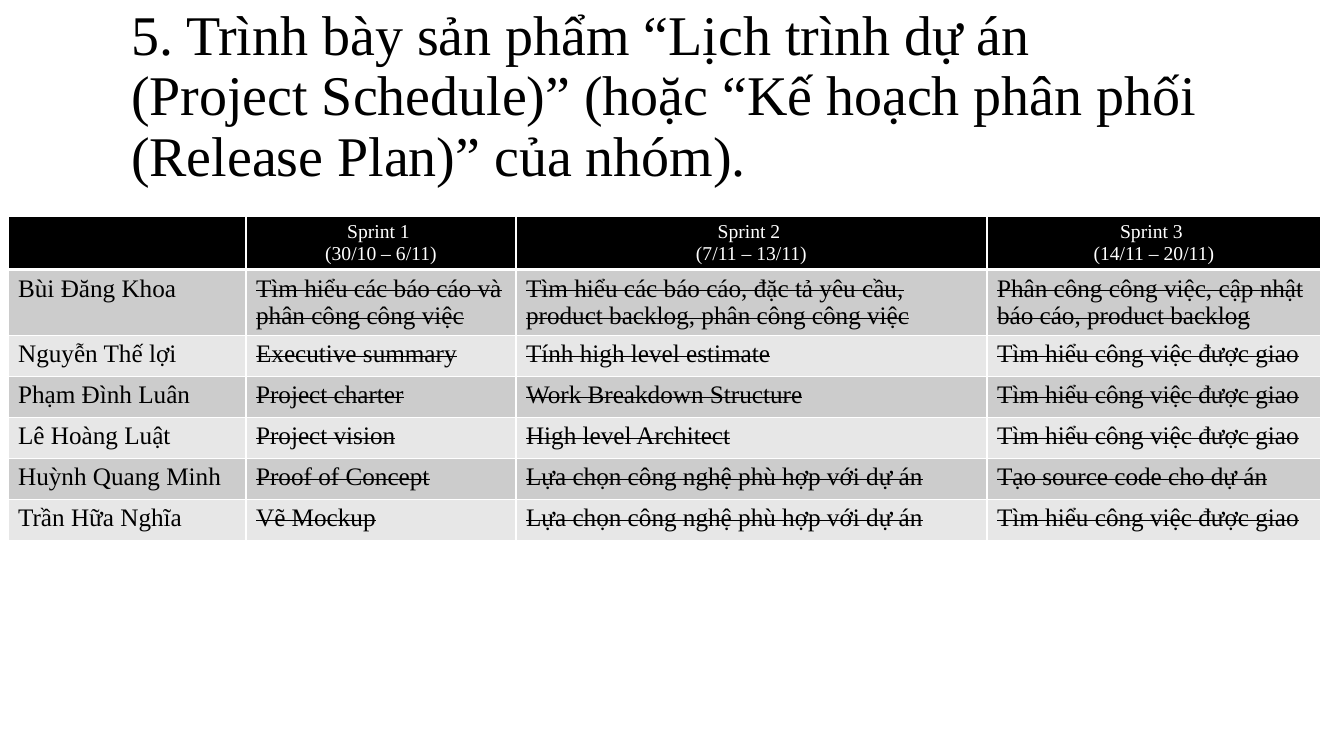
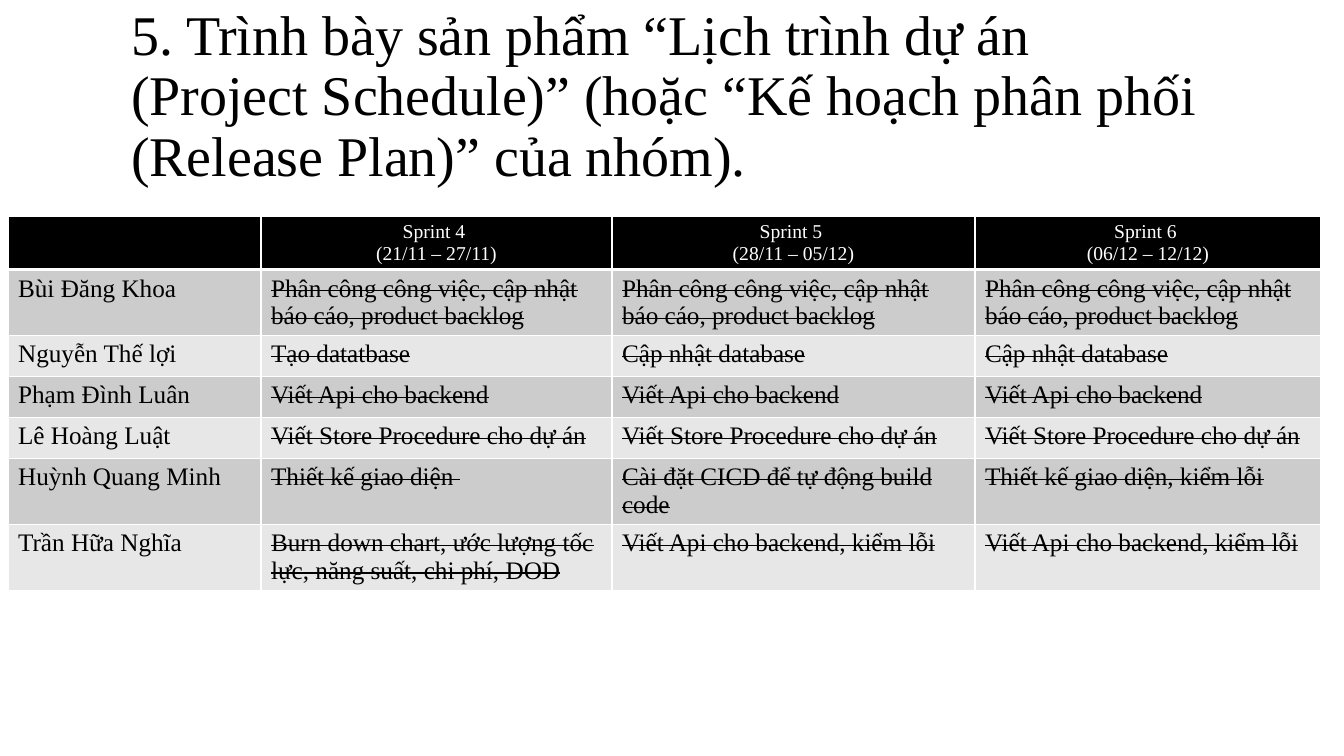
from lxml.etree import SubElement
from pptx import Presentation
from pptx.dml.color import RGBColor
from pptx.enum.text import MSO_ANCHOR, MSO_AUTO_SIZE, PP_ALIGN
from pptx.oxml.ns import qn
from pptx.util import Emu, Pt

FONT = "Times New Roman"
COLORS = {"ink": "000000", "paper": "FFFFFF", "dark_band": "CCCCCC", "light_band": "E7E7E7"}
TITLE = ("5. Trình bày sản phẩm “Lịch trình dự án (Project Schedule)” "
         "(hoặc “Kế hoạch phân phối (Release Plan)” của nhóm).")
MEMBERS = ["Bùi Đăng Khoa", "Nguyễn Thế lợi", "Phạm Đình Luân",
           "Lê Hoàng Luật", "Huỳnh Quang Minh", "Trần Hữa Nghĩa"]
ASSIGN = "Phân công công việc, cập nhật báo cáo, product backlog"
STUDY = "Tìm hiểu công việc được giao"
TECH = "Lựa chọn công nghệ phù hợp với dự án"
API = "Viết Api cho backend"
STORE = "Viết Store Procedure cho dự án"

SCHEDULES = [
    {
        "widths": [238, 270, 471, 334],
        "sprints": [("Sprint 1 ", "(30/10 – 6/11)"), ("Sprint 2 ", "(7/11 – 13/11)"),
                    ("Sprint 3 ", "(14/11 – 20/11)")],
        "tasks": [
            ["Tìm hiểu các báo cáo và phân công công việc",
             "Tìm hiểu các báo cáo, đặc tả yêu cầu, product backlog, phân công công việc", ASSIGN],
            ["Executive summary", "Tính high level estimate", STUDY],
            ["Project charter", "Work Breakdown Structure", STUDY],
            ["Project vision", "High level Architect", STUDY],
            ["Proof of Concept", TECH, "Tạo source code cho dự án"],
            ["Vẽ Mockup", TECH, STUDY],
        ],
    },
    {
        "widths": [253, 351, 363, 346],
        "sprints": [("Sprint 4 ", "(21/11 – 27/11)"), ("Sprint 5 ", "(28/11 – 05/12)"),
                    ("Sprint 6 ", "(06/12 – 12/12)")],
        "tasks": [
            [ASSIGN] * 3,
            ["Tạo datatbase", "Cập nhật database", "Cập nhật database"],
            [API] * 3,
            [STORE] * 3,
            ["Thiết kế giao diện ", "Cài đặt CICD để tự động build code",
             "Thiết kế giao diện, kiểm lỗi"],
            ["Burn down chart, ước lượng tốc lực, năng suất, chi phí, DOD",
             API + ", kiểm lỗi", API + ", kiểm lỗi"],
        ],
    },
]


def px(n):
    """Turn pixels into EMU."""
    return Emu(round(n * 914400 / 100.8))


class Deck:
    """Hold the style and the current slide."""

    def __init__(self):
        """Start an empty widescreen presentation."""
        self.prs = Presentation()
        self.prs.slide_width, self.prs.slide_height = px(1344), px(756)
        self.s = None

    def slide(self, title):
        """Add a slide with its title."""
        self.s = self.prs.slides.add_slide(self.prs.slide_layouts[5])
        sp = self.s.shapes.title
        sp.left, sp.top, sp.width, sp.height = px(121), px(31), px(1109), px(133)
        tf = sp.text_frame
        tf.word_wrap = True
        tf.auto_size = MSO_AUTO_SIZE.NONE
        tf.vertical_anchor = MSO_ANCHOR.MIDDLE
        p = tf.paragraphs[0]
        p.alignment = PP_ALIGN.LEFT
        p.line_spacing = 0.9
        self.run(p, title, 40)

    def run(self, p, text, size, color="ink", strike=False):
        """Add one formatted run to a paragraph."""
        r = p.add_run()
        r.text = text
        r.font.name, r.font.size, r.font.bold = FONT, Pt(size), False
        r.font.color.rgb = RGBColor.from_string(COLORS[color])
        if strike:
            r._r.get_or_add_rPr().set("strike", "sngStrike")

    def cell(self, cell, fill, bottom=1):
        """Give a cell its white borders and its fill."""
        tcPr = cell._tc.get_or_add_tcPr()
        for side, width in (("L", 1), ("R", 1), ("T", 1), ("B", bottom)):
            ln = SubElement(tcPr, qn(f"a:ln{side}"), w=str(Pt(width)))
            SubElement(SubElement(ln, qn("a:solidFill")), qn("a:srgbClr"), val=COLORS["paper"])
        cell.fill.solid()
        cell.fill.fore_color.rgb = RGBColor.from_string(COLORS[fill])

    def schedule(self, widths, sprints, tasks):
        """Add the table of members and their sprint tasks."""
        rows = len(MEMBERS) + 1
        table = self.s.shapes.add_table(rows, len(widths), px(8), px(216),
                                        px(sum(widths)), px(41 * rows)).table
        table.first_row = table.horz_banding = False
        for column, width in zip(table.columns, widths):
            column.width = px(width)
        for i, lines in enumerate([(), *sprints]):
            cell = table.cell(0, i)
            self.cell(cell, "ink", bottom=3)
            tf = cell.text_frame
            for j, line in enumerate(lines):
                p = tf.add_paragraph() if j else tf.paragraphs[0]
                p.alignment = PP_ALIGN.CENTER
                self.run(p, line, 14, "paper")
        for i, (member, work) in enumerate(zip(MEMBERS, tasks), 1):
            for j, text in enumerate([member, *work]):
                cell = table.cell(i, j)
                self.cell(cell, "dark_band" if i % 2 else "light_band")
                self.run(cell.text_frame.paragraphs[0], text, 18, strike=j > 0)


def main():
    """Build and save the deck."""
    deck = Deck()
    for schedule in SCHEDULES:
        deck.slide(TITLE)
        deck.schedule(**schedule)
    deck.prs.save("out.pptx")


if __name__ == "__main__":
    main()
